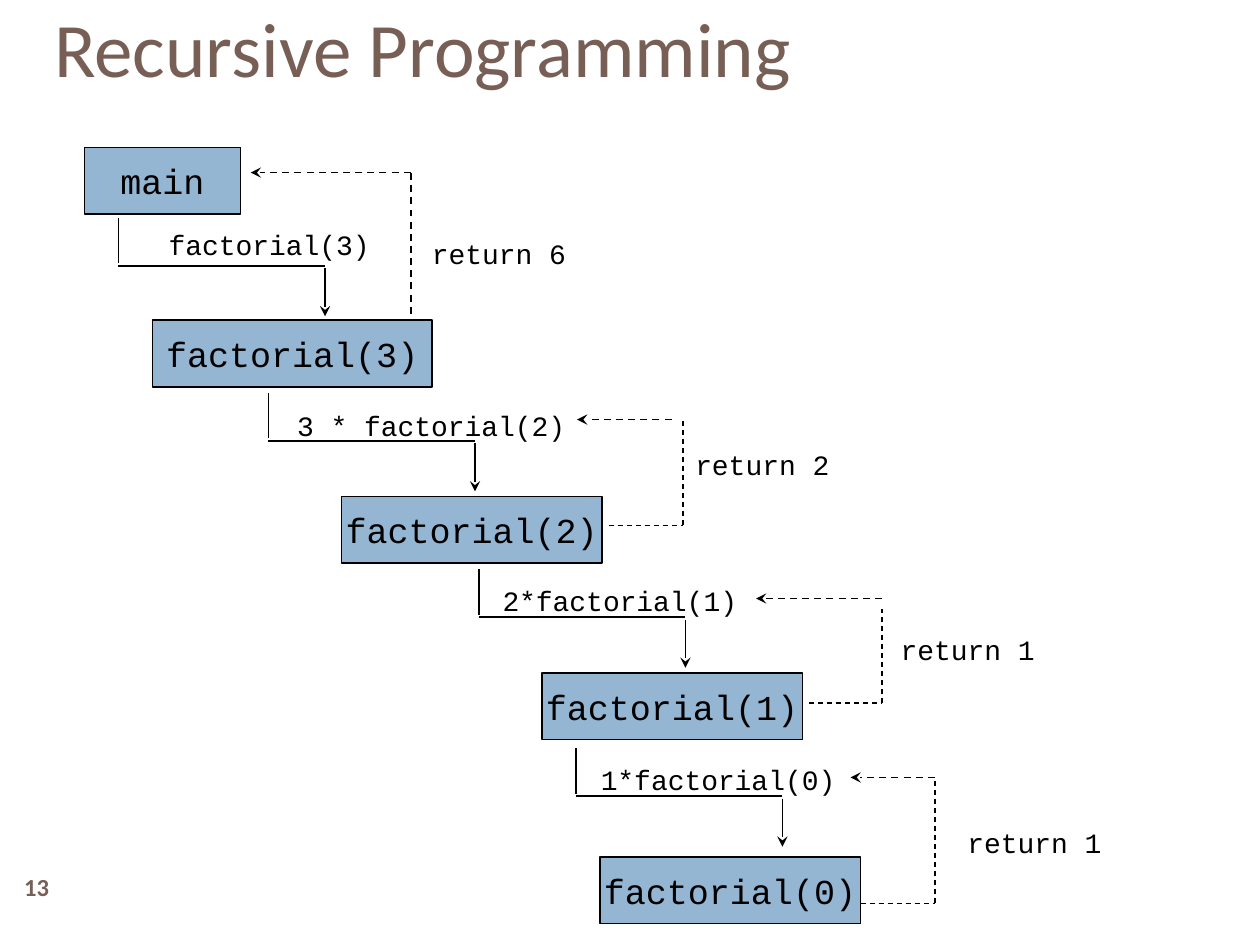
from pptx import Presentation
from pptx.util import Inches, Pt
from pptx.dml.color import RGBColor
from pptx.enum.dml import MSO_LINE as Dash
from pptx.enum.shapes import MSO_SHAPE as Shape, MSO_CONNECTOR as Conn
from pptx.enum.text import PP_ALIGN as Align, MSO_ANCHOR as Anchor
from pptx.oxml.ns import qn
from lxml import etree

BROWN = RGBColor(0x77, 0x5F, 0x55)
BLUE = RGBColor(0x94, 0xB6, 0xD2)
BLACK = RGBColor(0, 0, 0)


def write(shape, text, size, face="Courier New", color=BLACK, align=Align.LEFT):
    frame = shape.text_frame
    frame.text = text
    para = frame.paragraphs[0]
    para.alignment = align
    para.font.size = Pt(size)
    para.font.name = face
    para.font.color.rgb = color
    return frame


def draw(x1, y1, x2, y2, width=1, dash=False, arrow=False):
    line = slide.shapes.add_connector(
        Conn.STRAIGHT, Inches(x1), Inches(y1), Inches(x2), Inches(y2))
    line.line.color.rgb = BLACK
    line.line.width = Pt(width)
    if dash:
        line.line.dash_style = Dash.DASH
    if arrow:
        etree.SubElement(line.line._get_or_add_ln(), qn("a:tailEnd"), type="stealth")
    etree.SubElement(line._element.spPr, qn("a:effectLst"))


deck = Presentation()
deck.slide_width, deck.slide_height = Inches(10), Inches(7.5)
slide = deck.slides.add_slide(deck.slide_layouts[5])

title = slide.shapes.title
title.left, title.top = Inches(0.33), Inches(0.08)
title.width, title.height = Inches(9), Inches(0.58)
frame = write(title, "Recursive Programming", 44, "Calibri", BROWN)
frame.vertical_anchor = Anchor.MIDDLE

number = slide.shapes.add_textbox(Inches(0), Inches(6.83), Inches(0.58), Inches(0.42))
frame = write(number, "13", 14, "Calibri", BROWN, Align.CENTER)
frame.vertical_anchor = Anchor.MIDDLE
frame.paragraphs[0].font.bold = True

boxes = [
    ("main", 0.67, 1.17, 1.24),
    ("factorial(3)", 1.21, 2.54, 2.22),
    ("factorial(2)", 2.71, 3.94, 2.07),
    ("factorial(1)", 4.3, 5.34, 2.07),
    ("factorial(0)", 4.76, 6.8, 2.07),
]
for text, x, y, width in boxes:
    box = slide.shapes.add_shape(
        Shape.RECTANGLE, Inches(x), Inches(y), Inches(width), Inches(0.53))
    box.shadow.inherit = False
    box.fill.solid()
    box.fill.fore_color.rgb = BLUE
    box.line.color.rgb = BLACK
    box.line.width = Pt(1)
    frame = write(box, text, 20, align=Align.CENTER)
    frame.vertical_anchor = Anchor.MIDDLE
    frame.word_wrap = False

calls = [(0.94, 1.73), (2.13, 3.12), (3.8, 4.52), (4.57, 5.94)]
for x, y in calls:
    draw(x, y, x, y + 0.36)
    draw(x, y + 0.38, x + 1.64, y + 0.38)
    draw(x + 1.64, y + 0.4, x + 1.64, y + 0.78, arrow=True)

draw(3.26, 2.49, 3.26, 1.37, dash=True)
draw(3.26, 1.37, 1.99, 1.37, dash=True, arrow=True)

returns = [
    (4.83, 4.17, 5.42, 3.33, 5.33, 3.33, 4.58),
    (6.42, 5.58, 7, 4.83, 7, 4.75, 6),
    (6.83, 7.17, 7.42, 6.17, 7.42, 6.17, 6.75),
]
for start, low, side, high, turn, top, tip in returns:
    draw(start, low, side, low, 0.75, dash=True)
    draw(side, low, side, high, 0.75, dash=True)
    draw(turn, top, tip, top, dash=True, arrow=True)

labels = [
    ("factorial(3)", 1.24, 1.76, 1.81),
    ("3 * factorial(2)", 2.26, 3.19, 2.34),
    ("2*factorial(1)", 3.89, 4.58, 2.07),
    ("1*factorial(0)", 4.67, 6, 2.07),
    ("return 6", 3.33, 1.83, 1.27),
    ("return 2", 5.42, 3.5, 1.27),
    ("return 1", 7.05, 4.97, 1.27),
    ("return 1", 7.58, 6.5, 1.27),
]
for text, x, y, width in labels:
    label = slide.shapes.add_textbox(Inches(x), Inches(y), Inches(width), Inches(0.37))
    write(label, text, 16).word_wrap = False

deck.save("out.pptx")
